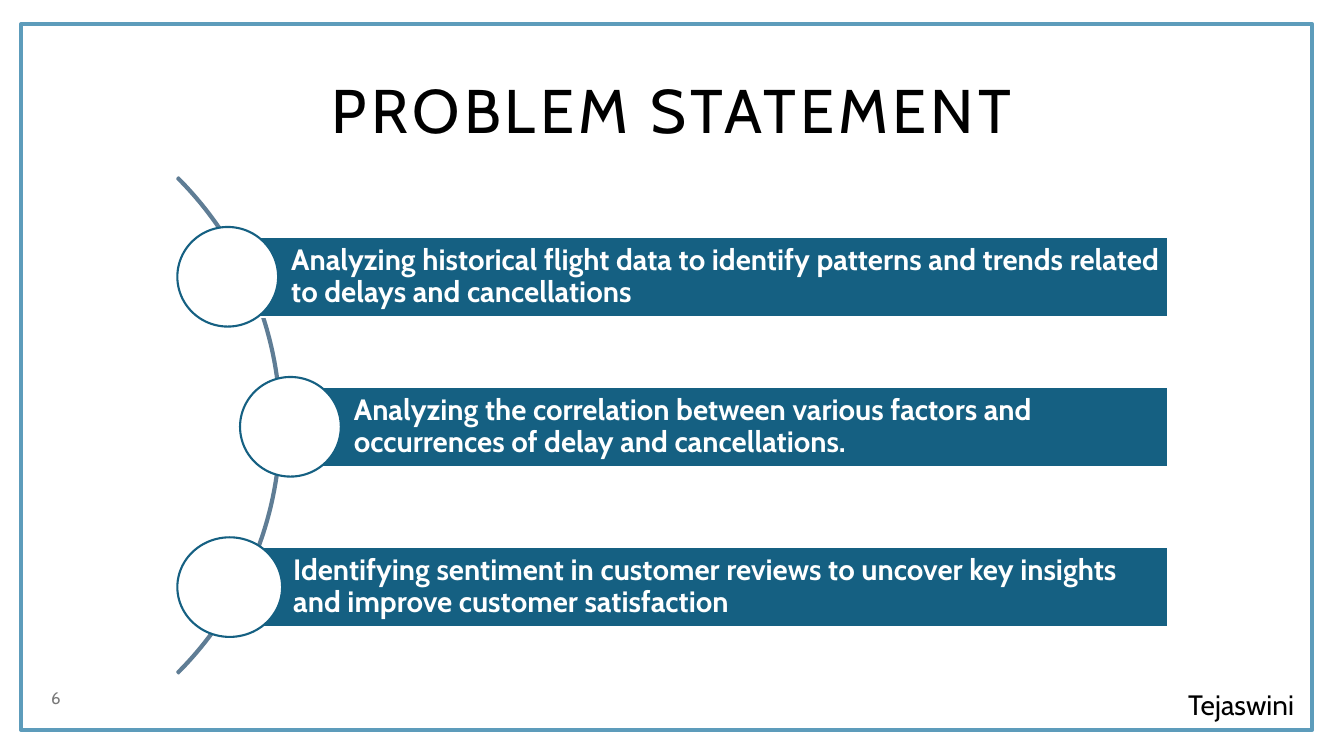
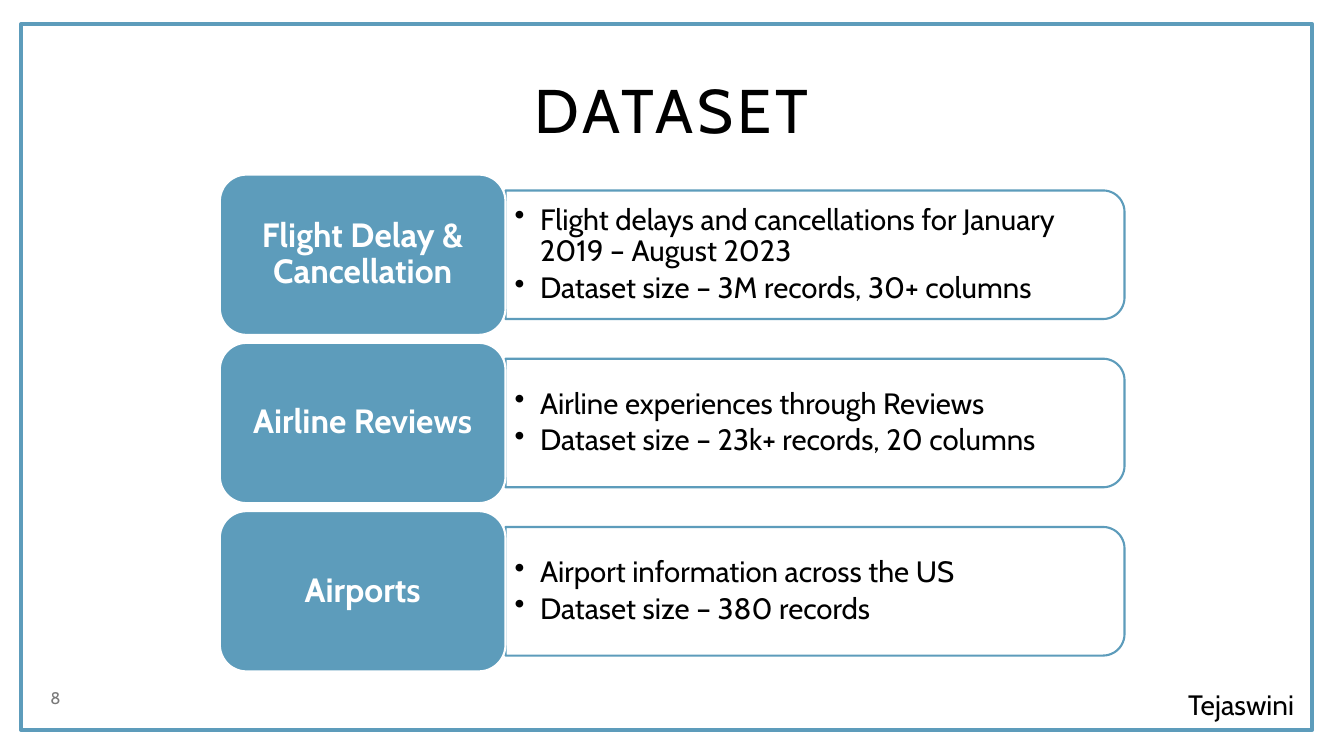
import math
from pptx import Presentation, util as u
from pptx.dml.color import RGBColor
from pptx.enum import shapes, text
from pptx.oxml import parse_xml
from pptx.oxml.ns import nsdecls

FONT = "Cabin"
BLACK, WHITE, GREY = "000000", "FFFFFF", "797979"
SKY, NAVY, SLATE = "5D9CBB", "156082", "5F7D95"
SHAPE, ALIGN, ANCHOR = shapes.MSO_SHAPE, text.PP_ALIGN, text.MSO_ANCHOR
INSETS = (0.25, 0.13, 0.25, 0.13)


def colour(value):
    return RGBColor.from_string(value)


def paint(shape, fill, line, width=1.5):
    shape.shadow.inherit = False
    if fill:
        shape.fill.solid()
        shape.fill.fore_color.rgb = colour(fill)
    else:
        shape.fill.background()
    shape.line.color.rgb = colour(line)
    shape.line.width = u.Pt(width)
    return shape


def add_preset(page, kind, box, fill, line, width=1.5):
    shape = page.shapes.add_shape(kind, *map(u.Cm, box))
    return paint(shape, fill, line, width)


def add_bullet(para):
    props = para._p.get_or_add_pPr()
    props.set("marL", str(u.Cm(0.64)))
    props.set("indent", str(-u.Cm(0.64)))
    props.append(parse_xml(f'<a:buChar {nsdecls("a")} char="•"/>'))


def write(shape, lines, size, ink, align=ALIGN.LEFT, insets=INSETS, bold=False,
          spacing=None, anchor=ANCHOR.MIDDLE, bullets=False, tracking=0):
    frame = shape.text_frame
    frame.word_wrap = True
    frame.vertical_anchor = anchor
    frame.margin_left, frame.margin_top, frame.margin_right, frame.margin_bottom = map(u.Cm, insets)
    for index, line in enumerate(lines):
        para = frame.add_paragraph() if index else frame.paragraphs[0]
        if bullets:
            add_bullet(para)
        para.alignment = align
        if spacing:
            para.line_spacing = spacing
        if index:
            para.space_before = u.Pt(3.5)
        span = para.add_run()
        span.text = line
        span.font.name = FONT
        span.font.size = u.Pt(size)
        span.font.bold = bold
        span.font.color.rgb = colour(ink)
        if tracking:
            span.font._element.set("spc", str(tracking))


def add_label(page, box, words, size, ink, align, **style):
    write(page.shapes.add_textbox(*map(u.Cm, box)), [words], size, ink, align, **style)


def add_page(deck, title, number):
    page = deck.slides.add_slide(deck.slide_layouts[6])
    add_preset(page, SHAPE.RECTANGLE, (0.53, 0.61, 32.54, 17.78), None, SKY, 3)
    add_label(page, (2.33, 1.02, 29.21, 3.68), title, 44, BLACK, ALIGN.CENTER,
              spacing=0.9, tracking=300)
    add_label(page, (28.83, 17.2, 4.19, 1.12), "Tejaswini ", 20, BLACK, ALIGN.RIGHT,
              anchor=ANCHOR.TOP)
    add_label(page, (0.53, 17.17, 1.25, 0.81), number, 12, GREY, ALIGN.RIGHT)
    return page


def add_arc(page, box):
    arc = add_preset(page, SHAPE.BLOCK_ARC, box, None, SLATE)
    for index, value in enumerate((189, 27, 0.003)):
        arc.adjustments[index] = value


def add_problem(page, left, top, right, circle_width, words):
    overhang, band_height = 0.25, 2.01
    band_left = left + circle_width / 2
    band = add_preset(page, SHAPE.RECTANGLE,
                      (band_left, top + overhang, right - band_left, band_height), NAVY, WHITE)
    write(band, [words], 21, WHITE, insets=(1.6, 0.15, 0.15, 0.15), bold=True, spacing=0.9)
    add_preset(page, SHAPE.OVAL, (left, top, circle_width, band_height + 2 * overhang), WHITE, NAVY)


def add_panel(page, left, top, width, height):
    radius, steps = 0.54, 12
    right, bottom = left + width, top + height
    points = [(left, bottom), (left, top)]
    for start, centre_y in ((-90, top + radius), (0, bottom - radius)):
        for step in range(steps + 1):
            angle = math.radians(start + 90 * step / steps)
            points.append((right - radius + radius * math.cos(angle),
                           centre_y + radius * math.sin(angle)))
    corners = [(u.Cm(x), u.Cm(y)) for x, y in points]
    builder = page.shapes.build_freeform(*corners[0])
    builder.add_line_segments(corners[1:], close=True)
    return paint(builder.convert_to_shape(), WHITE, SKY)


def add_dataset(page, left, top, name, facts):
    label_width, label_height, inset = 7.2, 4.04, 0.4
    panel = add_panel(page, left + label_width, top + inset, 15.6, label_height - 2 * inset)
    write(panel, facts, 21, BLACK, insets=(0.23, 0.28, 0.38, 0.28), spacing=0.9, bullets=True)
    label = add_preset(page, SHAPE.ROUNDED_RECTANGLE,
                       (left, top, label_width, label_height), SKY, WHITE)
    write(label, [name], 24, WHITE, ALIGN.CENTER, insets=(0.46, 0.33, 0.46, 0.33),
          bold=True, spacing=0.9)


def problem_page(deck):
    page = add_page(deck, "PROBLEM STATEMENT", "6")
    add_arc(page, (-10.59, 1.88, 17.68, 17.68))
    problems = [
        (4.47, 5.72, 2.54, "Analyzing historical flight data to identify patterns and trends "
                           "related to delays and cancellations"),
        (6.05, 9.5, 2.54, "Analyzing the correlation between various factors and "
                          "occurrences of delay and cancellations."),
        (4.47, 13.54, 2.64, "Identifying sentiment in customer reviews to uncover key insights "
                            "and improve customer satisfaction"),
    ]
    for left, top, circle_width, words in problems:
        add_problem(page, left, top, 29.44, circle_width, words)


def dataset_page(deck):
    page = add_page(deck, "DATASET", "8")
    datasets = [
        ("Flight Delay & Cancellation",
         ["Flight delays and cancellations for January 2019 – August 2023",
          "Dataset size – 3M records, 30+ columns"]),
        ("Airline Reviews",
         ["Airline experiences through Reviews", "Dataset size – 23k+ records, 20 columns"]),
        ("Airports",
         ["Airport information across the US", "Dataset size – 380 records"]),
    ]
    for row, (name, facts) in enumerate(datasets):
        add_dataset(page, 5.54, 4.4 + 4.24 * row, name, facts)


def main():
    deck = Presentation()
    deck.slide_width, deck.slide_height = u.Cm(33.87), u.Cm(19.05)
    problem_page(deck)
    dataset_page(deck)
    deck.save("out.pptx")


if __name__ == "__main__":
    main()
